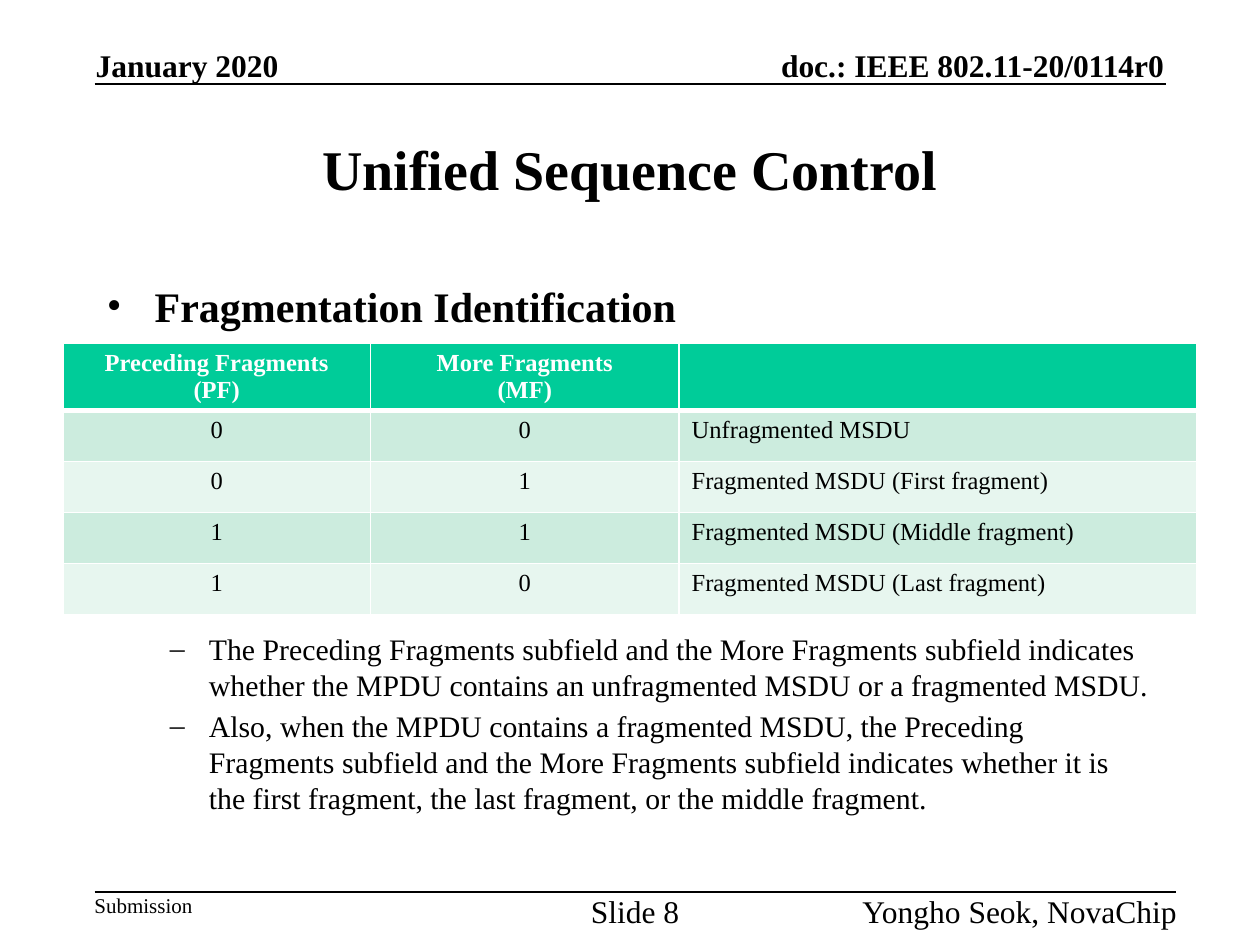
"""Build the Unified Sequence Control slide with its fragmentation table."""
from dataclasses import dataclass
from typing import Optional

import pptx
import pptx.dml.color
import pptx.enum.shapes
import pptx.enum.text
import pptx.oxml.ns
import pptx.util
from lxml import etree

ALIGN = pptx.enum.text.PP_ALIGN
ANCHOR = pptx.enum.text.MSO_ANCHOR


@dataclass(frozen=True)
class Theme:
    font: str = "Times New Roman"
    ink: str = "000000"
    paper: str = "FFFFFF"
    header: str = "00CC99"
    bands: tuple = ("CCECDE", "E7F6EF")
    title: int = 32
    heading: int = 24
    running: int = 18
    detail: int = 17
    detail_pitch: float = 20.6
    cell: int = 14
    small: int = 12


@dataclass(frozen=True)
class Area:
    """Percentages of the slide's width and height."""
    left: float
    top: float
    width: float
    height: float


@dataclass(frozen=True)
class Label:
    text: str
    area: Area
    size: int
    align: ALIGN = ALIGN.LEFT
    anchor: ANCHOR = ANCHOR.TOP
    bold: bool = False


@dataclass(frozen=True)
class Point:
    text: str
    mark: str
    size: int
    margin: float
    hang: float
    before: float = 0
    pitch: Optional[float] = None
    bold: bool = False


THEME = Theme()
WIDTH, HEIGHT = pptx.util.Inches(10), pptx.util.Inches(7.5)

LABELS = [
    Label("doc.: IEEE 802.11-20/0114r0", Area(52.4, 4.9, 40, 4), THEME.running,
          ALIGN.RIGHT, ANCHOR.BOTTOM, True),
    Label("January 2020", Area(7.6, 4.9, 20, 4), THEME.running,
          ALIGN.LEFT, ANCHOR.BOTTOM, True),
    Label("Submission", Area(7.5, 94.4, 12, 2.7), THEME.small),
    Label("Slide 8", Area(45.4, 94.4, 10, 4), THEME.running, ALIGN.CENTER),
    Label("Yongho Seok, NovaChip", Area(63.4, 94.4, 30, 4), THEME.running, ALIGN.RIGHT),
    Label("Unified Sequence Control", Area(0, 10, 100, 15.6), THEME.title,
          ALIGN.CENTER, ANCHOR.MIDDLE, True),
]
RULES = [(7.5, 92.5, 8.9), (7.5, 93.3, 94.4)]

BODY_AREA = Area(7.5, 29, 85, 60)
POINTS = [
    Point("Fragmentation Identification", "•", THEME.heading, 0.38, 0.38, bold=True),
    Point("The Preceding Fragments subfield and the More Fragments subfield indicates "
          "whether the MPDU contains an unfragmented MSDU or a fragmented MSDU.",
          "–", THEME.detail, 0.81, 0.31, 171, THEME.detail_pitch),
    Point("Also, when the MPDU contains a fragmented MSDU, the Preceding Fragments "
          "subfield and the More Fragments subfield indicates whether it is the first "
          "fragment, the last fragment, or the middle fragment.",
          "–", THEME.detail, 0.81, 0.31, 3, THEME.detail_pitch),
]

TABLE_AREA = Area(5, 36.3, 90, 28.6)
COLUMN_SHARES = (24.4, 24.5, 41.1)
ROW_SHARES = (7, 5.4, 5.4, 5.4, 5.4)
TABLE_ROWS = [
    ("Preceding Fragments\n(PF)", "More Fragments\n(MF)", ""),
    ("0", "0", "Unfragmented MSDU"),
    ("0", "1", "Fragmented MSDU (First fragment)"),
    ("1", "1", "Fragmented MSDU (Middle fragment)"),
    ("1", "0", "Fragmented MSDU (Last fragment)"),
]


def across(share: float) -> int:
    return round(WIDTH * share / 100)


def down(share: float) -> int:
    return round(HEIGHT * share / 100)


def place(area: Area) -> tuple:
    return across(area.left), down(area.top), across(area.width), down(area.height)


def color(value: str) -> pptx.dml.color.RGBColor:
    return pptx.dml.color.RGBColor.from_string(value)


def style(para, size: int, bold: bool = False, ink: str = THEME.ink) -> None:
    for span in para.runs:
        span.font.name = THEME.font
        span.font.size = pptx.util.Pt(size)
        span.font.bold = bold
        span.font.color.rgb = color(ink)


def draw_label(page, label: Label) -> None:
    frame = page.shapes.add_textbox(*place(label.area)).text_frame
    frame.word_wrap = True
    frame.vertical_anchor = label.anchor
    frame.margin_left = frame.margin_right = frame.margin_top = frame.margin_bottom = 0
    frame.text = label.text
    para = frame.paragraphs[0]
    para.alignment = label.align
    style(para, label.size, label.bold)


def draw_rule(page, left: float, right: float, top: float) -> None:
    rule = page.shapes.add_connector(pptx.enum.shapes.MSO_CONNECTOR.STRAIGHT,
                                     across(left), down(top), across(right), down(top))
    rule.line.color.rgb = color(THEME.ink)
    rule.line.width = pptx.util.Pt(1)
    etree.SubElement(rule._element.spPr, pptx.oxml.ns.qn("a:effectLst"))


def draw_points(page, area: Area, points: list) -> None:
    frame = page.shapes.add_textbox(*place(area)).text_frame
    frame.word_wrap = True
    frame.text = "\n".join(point.text for point in points)
    for para, point in zip(frame.paragraphs, points):
        properties = para._p.get_or_add_pPr()
        properties.set("marL", str(pptx.util.Inches(point.margin)))
        properties.set("indent", str(-pptx.util.Inches(point.hang)))
        etree.SubElement(properties, pptx.oxml.ns.qn("a:buFont"), typeface=THEME.font)
        etree.SubElement(properties, pptx.oxml.ns.qn("a:buChar"), char=point.mark)
        para.space_before = pptx.util.Pt(point.before)
        if point.pitch:
            para.line_spacing = pptx.util.Pt(point.pitch)
        style(para, point.size, point.bold)


def draw_border(cell, side: str, width: float) -> None:
    line = etree.SubElement(cell._tc.get_or_add_tcPr(), pptx.oxml.ns.qn(f"a:ln{side}"),
                            w=str(pptx.util.Pt(width)))
    fill = etree.SubElement(line, pptx.oxml.ns.qn("a:solidFill"))
    etree.SubElement(fill, pptx.oxml.ns.qn("a:srgbClr"), val=THEME.paper)


def draw_cell(cell, text: str, row: int, column: int) -> None:
    is_header = row == 0
    for side in "LRTB":
        thick = (row, side) in ((0, "B"), (1, "T"))
        draw_border(cell, side, 3 if thick else 1)
    cell.fill.solid()
    cell.fill.fore_color.rgb = color(THEME.header if is_header else THEME.bands[(row - 1) % 2])
    cell.margin_bottom = pptx.util.Inches(0.02 if is_header else 0.05)
    cell.text_frame.text = text
    for para in cell.text_frame.paragraphs:
        para.alignment = ALIGN.CENTER if column < 2 else ALIGN.LEFT
        style(para, THEME.cell, is_header, THEME.paper if is_header else THEME.ink)


def draw_table(page) -> None:
    table = page.shapes.add_table(len(TABLE_ROWS), len(COLUMN_SHARES), *place(TABLE_AREA)).table
    for column, share in zip(table.columns, COLUMN_SHARES):
        column.width = across(share)
    for row, share in zip(table.rows, ROW_SHARES):
        row.height = down(share)
    for row, texts in enumerate(TABLE_ROWS):
        for column, text in enumerate(texts):
            draw_cell(table.cell(row, column), text, row, column)


def main() -> None:
    deck = pptx.Presentation()
    deck.slide_width, deck.slide_height = WIDTH, HEIGHT
    page = deck.slides.add_slide(deck.slide_layouts[6])
    for rule in RULES:
        draw_rule(page, *rule)
    draw_points(page, BODY_AREA, POINTS)
    for label in LABELS:
        draw_label(page, label)
    draw_table(page)
    deck.save("out.pptx")


if __name__ == "__main__":
    main()
